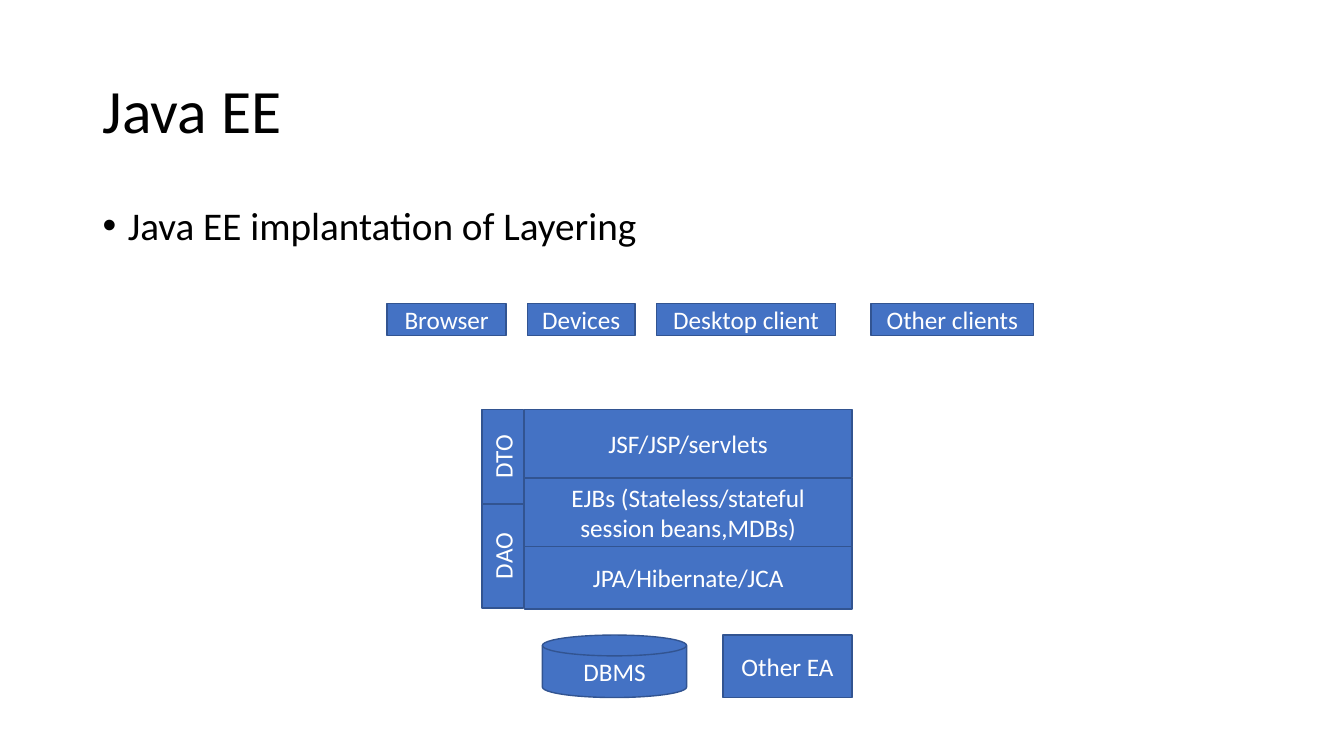
from lxml import etree
from pptx import Presentation
from pptx import util as u
from pptx.dml.color import RGBColor
from pptx.enum import shapes, text
from pptx.oxml.ns import qn

COLORS = {"text": "000000", "fill": "4472C4", "line": "325491", "label": "FFFFFF"}
FONT = "Calibri"
RECT = shapes.MSO_SHAPE.RECTANGLE
DISK = shapes.MSO_SHAPE.FLOWCHART_MAGNETIC_DISK

# Grid of the diagram, in inches
MARGIN, TEXT_W = 0.92, 11.5
SIDE_X, SIDE_W = 4.78, 0.41
STACK_X, STACK_W, STACK_Y = 5.2, 3.25, 4.06
CLIENT_Y, CLIENT_H = 3.01, 0.32
STORE_Y, STORE_H = 6.3, 0.62

CLIENTS = [("Browser", 3.84, 1.18), ("Devices", 5.23, 1.07),
           ("Desktop client", 6.51, 1.78), ("Other clients", 8.64, 1.61)]
LAYERS = [("JSF/JSP/servlets", 0.68),
          ("EJBs (Stateless/stateful session beans,MDBs)", 0.68),
          ("JPA/Hibernate/JCA", 0.62)]
SIDE_LAYERS = [("DTO", 0.94), ("DAO", 1.03)]
STORES = [("DBMS", 5.38, 1.43, DISK), ("Other EA", 7.17, 1.28, RECT)]


def rgb(name):
    return RGBColor.from_string(COLORS[name])


def write(sp, content, size, color, anchor):
    tf = sp.text_frame
    tf.text = content
    tf.word_wrap = True
    tf.vertical_anchor = anchor
    p = tf.paragraphs[0]
    font = p.runs[0].font
    font.name, font.size = FONT, u.Pt(size)
    font.color.rgb = rgb(color)
    return p


def add_text(slide, content, y, h, size, anchor):
    box = slide.shapes.add_textbox(*map(u.Inches, (MARGIN, y, TEXT_W, h)))
    p = write(box, content, size, "text", anchor)
    p.line_spacing = 0.9
    return p


def add_bullet(p, indent=0.25):
    pPr = p._p.get_or_add_pPr()
    pPr.set("marL", str(u.Inches(indent)))
    pPr.set("indent", str(u.Inches(-indent)))
    etree.SubElement(pPr, qn("a:buFont")).set("typeface", "Arial")
    etree.SubElement(pPr, qn("a:buChar")).set("char", "•")


def add_box(slide, label, x, y, w, h, kind=RECT, upright=False):
    if upright:  # swap the sides around the centre, then turn
        x, y, w, h = x + (w - h) / 2, y + (h - w) / 2, h, w
    sp = slide.shapes.add_shape(kind, *map(u.Inches, (x, y, w, h)))
    sp.rotation = 270 if upright else 0
    sp.shadow.inherit = False
    sp.fill.solid()
    sp.fill.fore_color.rgb = rgb("fill")
    sp.line.color.rgb = rgb("line")
    sp.line.width = u.Pt(1)
    p = write(sp, label, 18, "label", text.MSO_ANCHOR.MIDDLE)
    p.alignment = text.PP_ALIGN.CENTER


def add_stack(slide, layers, x, w, upright=False):
    y = STACK_Y
    for label, h in layers:
        add_box(slide, label, x, y, w, h, upright=upright)
        y += h


def main():
    prs = Presentation()
    prs.slide_width, prs.slide_height = u.Inches(13.33), u.Inches(7.5)
    slide = prs.slides.add_slide(prs.slide_layouts[6])

    # Title and bullet
    add_text(slide, "Java EE", 0.4, 1.45, 44, text.MSO_ANCHOR.MIDDLE)
    p = add_text(slide, "Java EE implantation of Layering", 2, 4.76, 28,
                 text.MSO_ANCHOR.TOP)
    p.space_before = u.Pt(10)
    add_bullet(p)

    # Layers with the transfer and access objects beside them
    add_stack(slide, LAYERS, STACK_X, STACK_W)
    add_stack(slide, SIDE_LAYERS, SIDE_X, SIDE_W, upright=True)

    # Stores below, clients above
    for label, x, w, kind in STORES:
        add_box(slide, label, x, STORE_Y, w, STORE_H, kind)
    for label, x, w in CLIENTS:
        add_box(slide, label, x, CLIENT_Y, w, CLIENT_H)

    prs.save("out.pptx")


if __name__ == "__main__":
    main()
